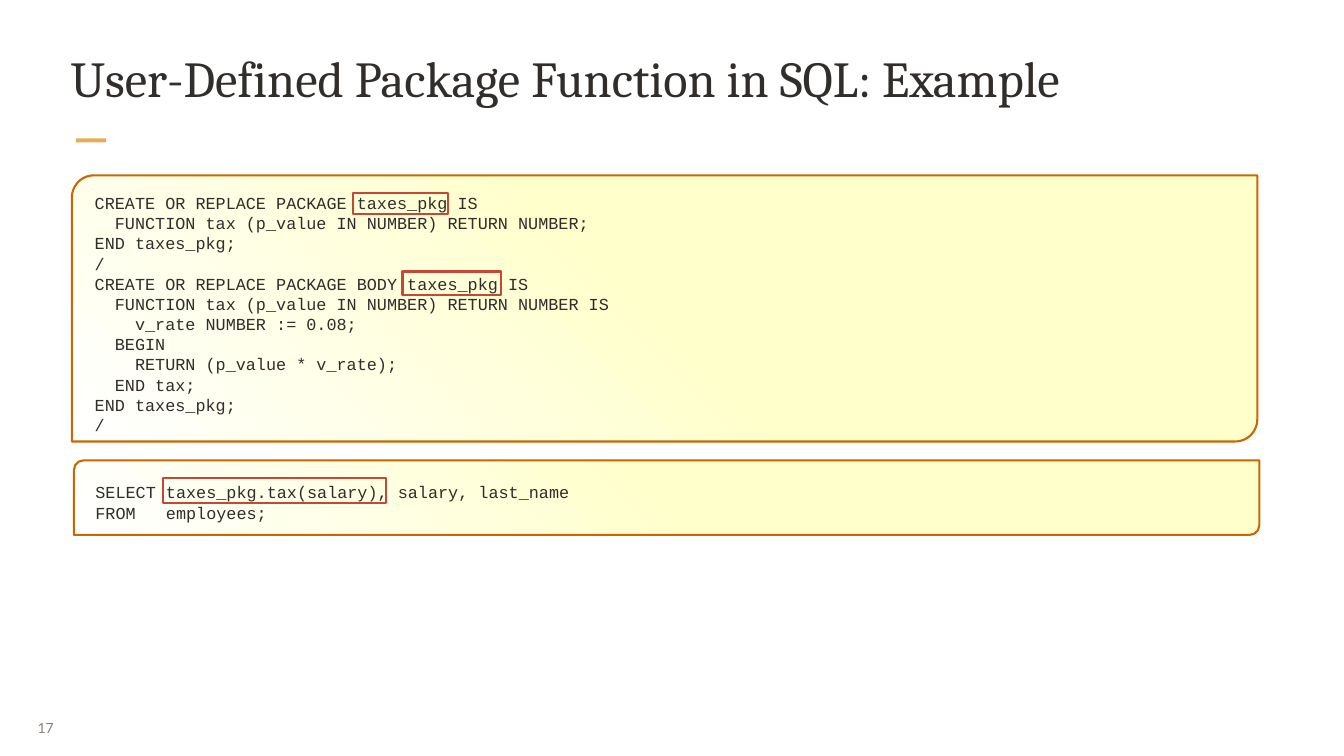
import copy
import dataclasses

import pptx
import pptx.dml.color
import pptx.enum.dml
import pptx.enum.shapes
import pptx.enum.text
import pptx.oxml
import pptx.oxml.ns
import pptx.util

COLUMNS, ROWS = 20, 11.25
CELL = pptx.util.Inches(1)
SHAPES = pptx.enum.shapes.MSO_SHAPE
ANCHORS = pptx.enum.text.MSO_ANCHOR
ALIGNS = pptx.enum.text.PP_ALIGN


@dataclasses.dataclass(frozen=True)
class Theme:
    ink: str = "312D2A"
    muted: str = "8B8078"
    accent: str = "E6AC58"
    border: str = "CC6600"
    highlight: str = "C74634"
    cream: str = "FFFFCC"
    white: str = "FFFFFF"
    title_font: str = "Cambria"
    code_font: str = "Courier New"
    number_font: str = "Lato"
    title_size: float = 54
    code_size: float = 18
    number_size: float = 15
    outline: float = 2.25


THEME = Theme()

PACKAGE_CODE = """CREATE OR REPLACE PACKAGE taxes_pkg IS
  FUNCTION tax (p_value IN NUMBER) RETURN NUMBER;
END taxes_pkg;
/
CREATE OR REPLACE PACKAGE BODY taxes_pkg IS
  FUNCTION tax (p_value IN NUMBER) RETURN NUMBER IS
    v_rate NUMBER := 0.08;
  BEGIN
    RETURN (p_value * v_rate);
  END tax;
END taxes_pkg;
/"""

QUERY_CODE = """SELECT taxes_pkg.tax(salary), salary, last_name
FROM   employees;"""


def color(code):
    return pptx.dml.color.RGBColor.from_string(code)


def grid(*cells):
    return [round(cell * CELL) for cell in cells]


def inside(box, left, top, width, height):
    return box[0] + left, box[1] + top, width, height


def add_code_indent(para):
    properties = para._p.get_or_add_pPr()
    properties.set("marL", str(round(0.75 * CELL)))
    properties.set("indent", str(round(-0.75 * CELL)))
    tabs = pptx.oxml.parse_xml(f"<a:tabLst {pptx.oxml.ns.nsdecls('a')}/>")
    for position, align in ((0.66, "r"), (1.1, "l")):
        tab = tabs.makeelement(pptx.oxml.ns.qn("a:tab"))
        tab.set("pos", str(round(position * CELL)))
        tab.set("algn", align)
        tabs.append(tab)
    properties.append(tabs)


def write_text(frame, text, *, font, size, ink, margins, anchor=ANCHORS.MIDDLE,
               align=ALIGNS.LEFT, wrap=True, code=False):
    frame.auto_size = pptx.enum.text.MSO_AUTO_SIZE.NONE
    frame.word_wrap = wrap
    frame.vertical_anchor = anchor
    across, down = grid(*margins)
    frame.margin_left = frame.margin_right = across
    frame.margin_top = frame.margin_bottom = down
    for index, line in enumerate(text.split("\n")):
        para = frame.add_paragraph() if index else frame.paragraphs[0]
        para.alignment = align
        if code:
            add_code_indent(para)
        span = para.add_run()
        span.text = line
        span.font.name = font
        span.font.size = pptx.util.Pt(size)
        span.font.color.rgb = color(ink)


def add_box(page, kind, box, *, fill=None, line=None):
    shape = page.shapes.add_shape(kind, *grid(*box))
    shape.shadow.inherit = False
    if fill:
        shape.fill.solid()
        shape.fill.fore_color.rgb = color(fill)
    else:
        shape.fill.background()
    if line:
        shape.line.color.rgb = color(line)
        shape.line.width = pptx.util.Pt(THEME.outline)
    else:
        shape.line.fill.background()
    return shape


def fade_to_white(shape):
    shape.fill.gradient()
    shape.fill.gradient_angle = 225
    first = shape.fill.gradient_stops[0]._gs
    first.addnext(copy.deepcopy(first))
    stops = ((0, THEME.cream), (0.5, THEME.cream), (1, THEME.white))
    for stop, (position, code) in zip(shape.fill.gradient_stops, stops):
        stop.position = position
        stop.color.rgb = color(code)


def place_title(page, box, text):
    title = page.shapes.title
    title.left, title.top, title.width, title.height = grid(*box)
    write_text(title.text_frame, text, font=THEME.title_font, size=THEME.title_size,
               ink=THEME.ink, margins=(0.03, 0.03), anchor=ANCHORS.TOP)
    add_box(page, SHAPES.RECTANGLE, inside(box, 0.11, 1.39, 0.45, 0.06), fill=THEME.accent)


def place_code_panel(page, box, text, text_box, corner, highlights):
    panel = add_box(page, SHAPES.ROUND_2_DIAG_RECTANGLE, box, line=THEME.border)
    panel.adjustments[0] = corner
    panel.adjustments[1] = 0
    fade_to_white(panel)
    code = page.shapes.add_textbox(*grid(*inside(box, *text_box)))
    write_text(code.text_frame, text, font=THEME.code_font, size=THEME.code_size,
               ink=THEME.ink, margins=(0.15, 0.01), code=True)
    for highlight in highlights:
        add_box(page, SHAPES.RECTANGLE, inside(box, *highlight), line=THEME.highlight)


def place_number(page, box, text):
    number = page.shapes.add_textbox(*grid(*box))
    write_text(number.text_frame, text, font=THEME.number_font, size=THEME.number_size,
               ink=THEME.muted, margins=(0.13, 0.07), align=ALIGNS.JUSTIFY, wrap=False)


def main():
    deck = pptx.Presentation()
    deck.slide_width, deck.slide_height = grid(COLUMNS, ROWS)
    page = deck.slides.add_slide(deck.slide_layouts.get_by_name("Title Only"))
    page.background.fill.solid()
    page.background.fill.fore_color.rgb = color(THEME.white)
    place_title(page, (1.02, 0.67, 17.96, 1.28),
                "User-Defined Package Function in SQL: Example")
    place_code_panel(page, (1.07, 2.61, 17.64, 3.96), PACKAGE_CODE,
                     (0.19, -0.76, 17.3, 5.64), 0.083,
                     [(4.18, 0.26, 1.42, 0.32), (4.92, 1.43, 1.47, 0.35)])
    place_code_panel(page, (1.1, 6.85, 17.64, 1.11), QUERY_CODE,
                     (0.17, 0, 17.3, 1.25), 0.13, [(1.32, 0.27, 3.33, 0.37)])
    place_number(page, (0.43, 10.54, 0.65, 0.58), "17")
    deck.save("out.pptx")


if __name__ == "__main__":
    main()
